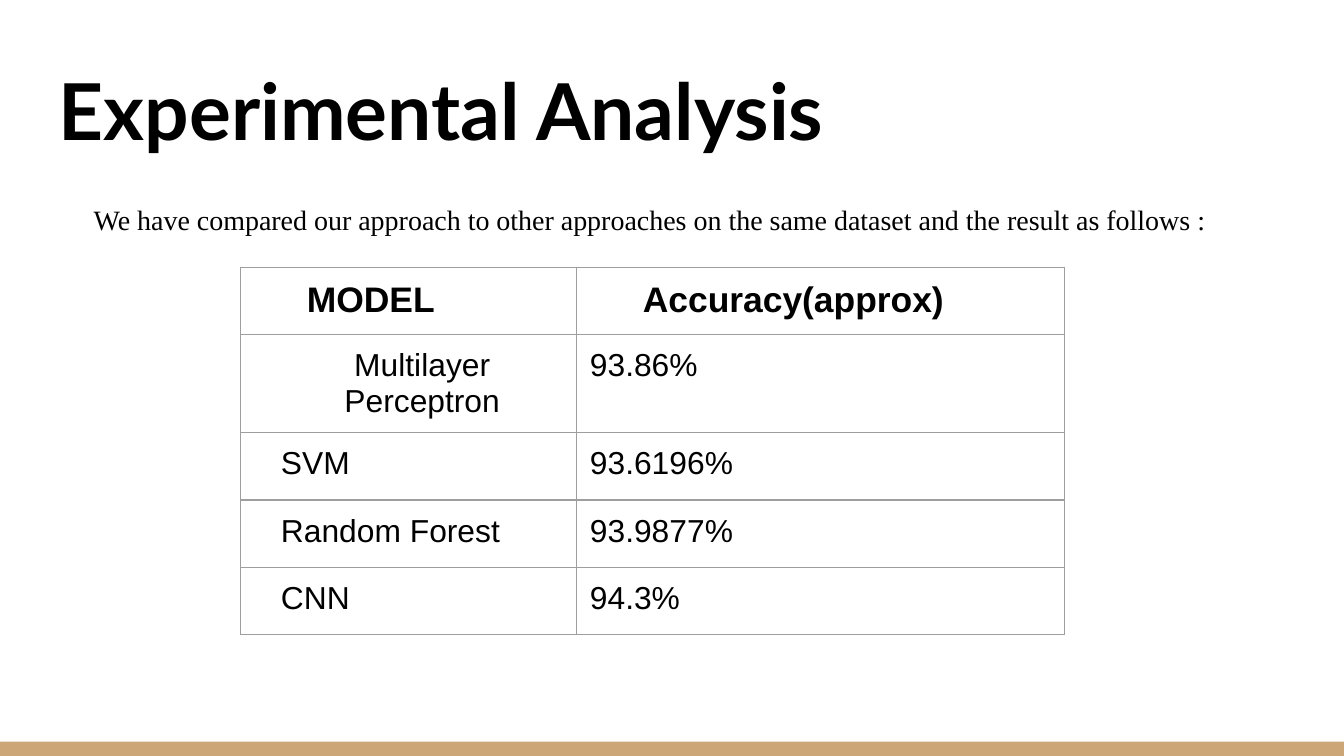
from dataclasses import dataclass

from lxml.etree import SubElement
from pptx import Presentation
from pptx.dml.color import RGBColor as Rgb
from pptx.enum.shapes import MSO_SHAPE as Shape
from pptx.enum.text import MSO_ANCHOR as Anchor, MSO_AUTO_SIZE as AutoSize, PP_ALIGN as Align
from pptx.oxml.ns import qn
from pptx.util import Cm, Pt

TITLE_ONLY = 5
WIDTH, HEIGHT = 25.4, 14.29


@dataclass(frozen=True)
class Theme:
    ink: str = "000000"
    paper: str = "FFFFFF"
    band: str = "CCA677"
    grid: str = "9E9E9E"
    title_font: str = "Lato"
    intro_font: str = "Times New Roman"
    table_font: str = "Arial"
    title_size: int = 42
    intro_size: int = 15
    header_size: int = 19
    cell_size: int = 17
    grid_width: float = 0.75
    inset: float = 0.25
    model_inset: float = 0.76
    header_inset: float = 1.25


class SlideBuilder:
    def __init__(self, slide, theme):
        self.slide = slide
        self.theme = theme
        fill = slide.background.fill
        fill.solid()
        fill.fore_color.rgb = Rgb.from_string(theme.paper)

    def add_span(self, para, text, font, size, bold=False, align=Align.LEFT):
        para.alignment = align
        span = para.add_run()
        span.text = text
        span.font.name = font
        span.font.size = Pt(size)
        span.font.bold = bold
        span.font.color.rgb = Rgb.from_string(self.theme.ink)

    def set_insets(self, holder, left=None):
        """Apply the common inset to a text frame or cell, with an optional wider left one."""
        inset = Cm(self.theme.inset)
        holder.margin_right = holder.margin_top = holder.margin_bottom = inset
        holder.margin_left = inset if left is None else Cm(left)

    def add_band(self, top, height):
        band = self.slide.shapes.add_shape(Shape.RECTANGLE, 0, Cm(top), Cm(WIDTH), Cm(height))
        band.shadow.inherit = False
        band.fill.solid()
        band.fill.fore_color.rgb = Rgb.from_string(self.theme.band)
        band.line.fill.background()

    def add_title(self, text, left, top, width, height):
        title = self.slide.shapes.title
        title.left, title.top, title.width, title.height = map(Cm, (left, top, width, height))
        frame = title.text_frame
        frame.auto_size = AutoSize.NONE
        frame.vertical_anchor = Anchor.BOTTOM
        self.set_insets(frame)
        self.add_span(frame.paragraphs[0], text, self.theme.title_font, self.theme.title_size, bold=True)

    def add_intro(self, text, left, top, width, height):
        box = self.slide.shapes.add_textbox(*map(Cm, (left, top, width, height)))
        frame = box.text_frame
        frame.word_wrap = True
        self.set_insets(frame)
        para = frame.paragraphs[0]
        para.line_spacing = 1.15
        self.add_span(para, text, self.theme.intro_font, self.theme.intro_size, align=Align.JUSTIFY)

    def add_borders(self, cell):
        properties = cell._tc.get_or_add_tcPr()
        for side in ("a:lnL", "a:lnR", "a:lnT", "a:lnB"):
            line = SubElement(properties, qn(side), w=str(Pt(self.theme.grid_width)))
            fill = SubElement(line, qn("a:solidFill"))
            SubElement(fill, qn("a:srgbClr"), val=self.theme.grid)

    def add_table(self, rows, left, top, widths, heights):
        """Draw a bordered table whose first row is the header."""
        theme = self.theme
        frame = self.slide.shapes.add_table(
            len(rows), len(widths), Cm(left), Cm(top), Cm(sum(widths)), Cm(sum(heights)))
        table = frame.table
        table.first_row = table.horz_banding = False
        for column, width in zip(table.columns, widths):
            column.width = Cm(width)
        for row, height in zip(table.rows, heights):
            row.height = Cm(height)
        for row_index, values in enumerate(rows):
            header = row_index == 0
            for column_index, text in enumerate(values):
                cell = table.cell(row_index, column_index)
                model_inset = theme.model_inset if column_index == 0 else None
                self.set_insets(cell, theme.header_inset if header else model_inset)
                self.add_borders(cell)
                cell.fill.background()
                centred = text == "Multilayer Perceptron"
                self.add_span(
                    cell.text_frame.paragraphs[0], text, theme.table_font,
                    theme.header_size if header else theme.cell_size,
                    bold=header, align=Align.CENTER if centred else Align.LEFT)


def main():
    deck = Presentation()
    deck.slide_width, deck.slide_height = Cm(WIDTH), Cm(HEIGHT)
    page = SlideBuilder(deck.slides.add_slide(deck.slide_layouts[TITLE_ONLY]), Theme())

    page.add_band(top=14.02, height=0.27)
    page.add_title("Experimental Analysis", 0.86, 0.89, 23.67, 2.31)
    results = [
        ("MODEL", "Accuracy(approx)"),
        ("Multilayer Perceptron", "93.86%"),
        ("SVM", "93.6196%"),
        ("Random Forest", "93.9877%"),
        ("CNN", "94.3%"),
    ]
    page.add_table(results, 4.55, 5.06, widths=(6.35, 9.22), heights=(1.27, 1.85, 1.27, 1.27, 1.27))
    page.add_intro(
        "We have compared our approach to other approaches on the same dataset "
        "and the result as follows :", 1.52, 3.48, 22.17, 1.19)

    deck.save("out.pptx")


if __name__ == "__main__":
    main()
